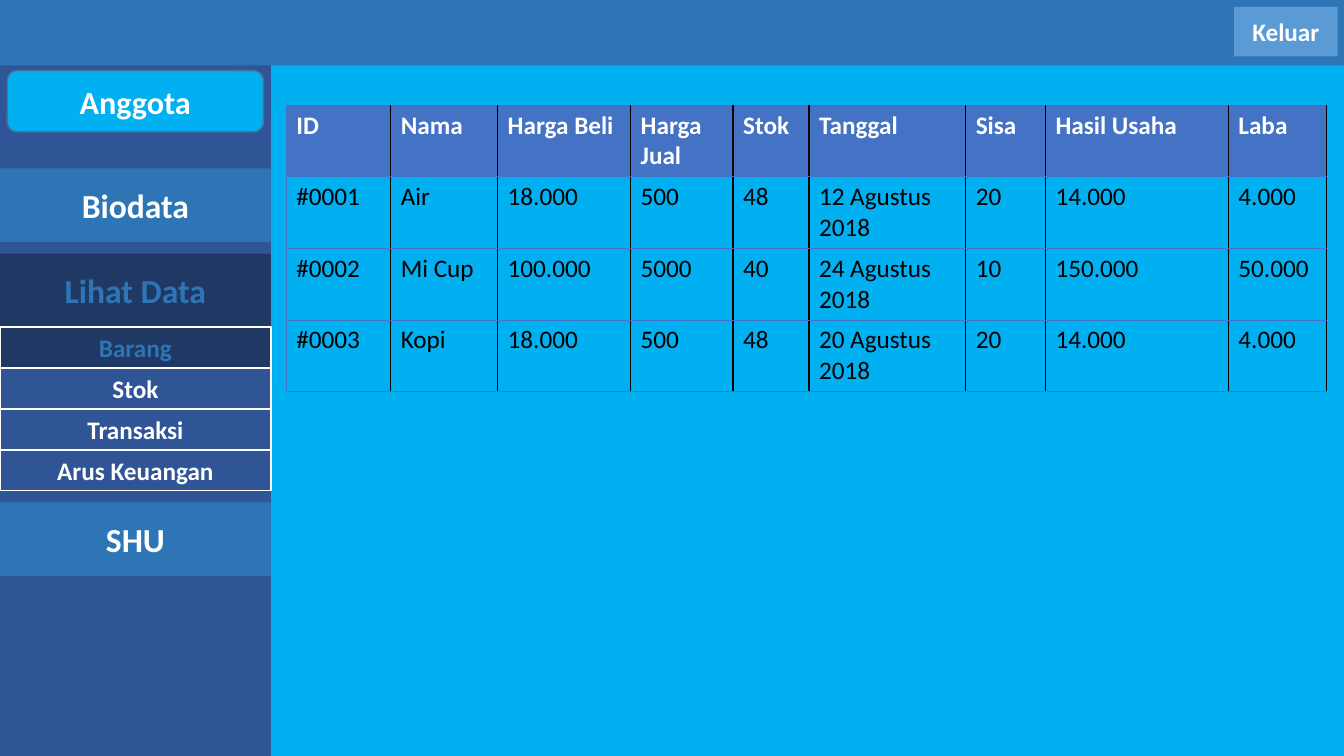
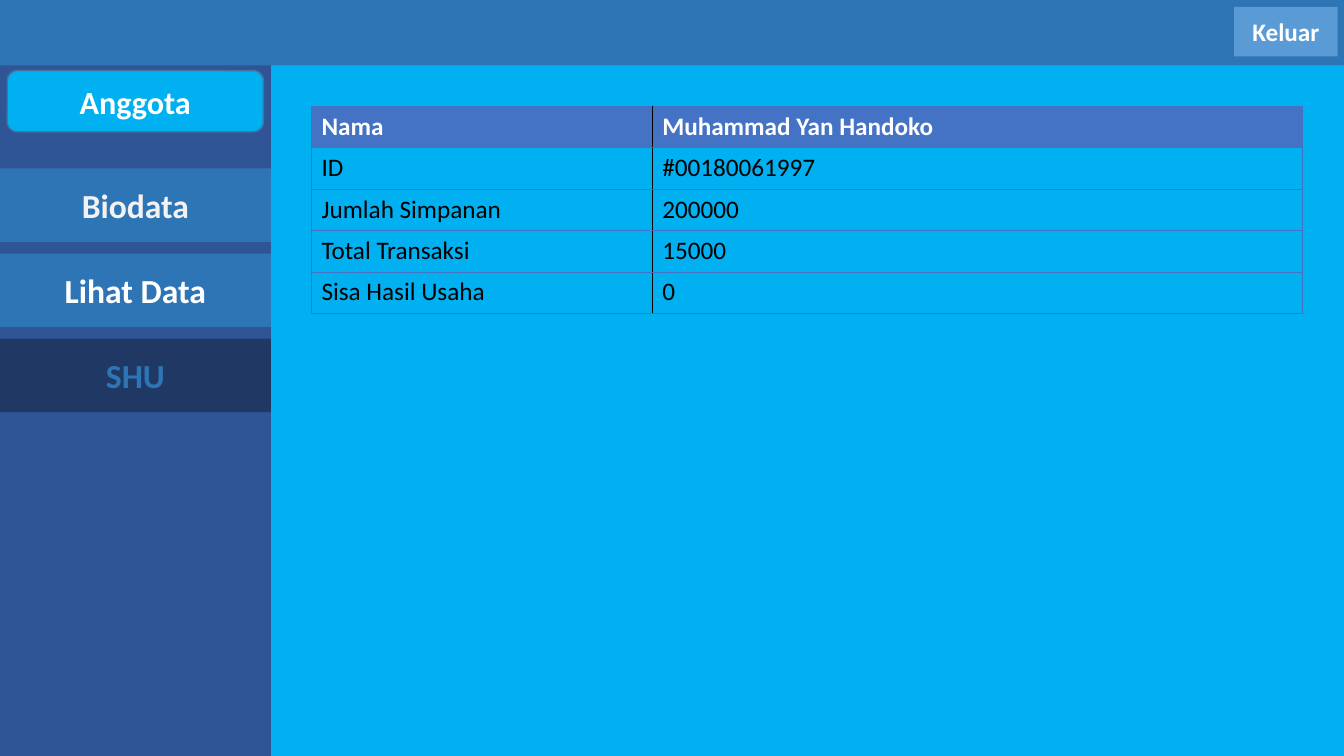
from dataclasses import dataclass
from typing import Optional

from lxml import etree
from pptx import Presentation
from pptx.dml.color import RGBColor
from pptx.enum.shapes import MSO_SHAPE
from pptx.enum.text import MSO_ANCHOR, PP_ALIGN
from pptx.oxml.ns import qn
from pptx.slide import Slide
from pptx.table import _Cell
from pptx.text.text import _Paragraph
from pptx.util import Pt

RECT = MSO_SHAPE.RECTANGLE
ROUND = MSO_SHAPE.ROUNDED_RECTANGLE
MIDDLE = MSO_ANCHOR.MIDDLE
CENTER = PP_ALIGN.CENTER

SKY = RGBColor(0x00, 0xB0, 0xF0)
NAVY = RGBColor(0x2F, 0x55, 0x97)
BLUE = RGBColor(0x2E, 0x75, 0xB6)
DARK = RGBColor(0x20, 0x38, 0x64)
PALE = RGBColor(0x5B, 0x9B, 0xD5)
EDGE = RGBColor(0x43, 0x73, 0x9E)
HEAD = RGBColor(0x44, 0x72, 0xC4)
SMOKE = RGBColor(0xF2, 0xF2, 0xF2)
WHITE = RGBColor(0xFF, 0xFF, 0xFF)
BLACK = RGBColor(0x00, 0x00, 0x00)

FONT = "Calibri"
WIDTH, HEIGHT = 960, 540
SIDE = 193.5
MENU_TOP, MENU_TALL, MENU_GAP = 120.3, 52.5, 8.3
SUB_TALL = 29.25


@dataclass
class Box:
    left: float
    top: float
    width: float
    height: float
    fill: Optional[RGBColor]
    text: str = ""
    size: float = 24
    ink: RGBColor = WHITE
    line: Optional[RGBColor] = None
    kind: MSO_SHAPE = RECT


@dataclass
class Item:
    text: str
    active: bool = False
    ink: RGBColor = WHITE
    subs: tuple["Item", ...] = ()


@dataclass
class Grid:
    left: float
    top: float
    tall: float
    cols: list[float]
    rows: list[list[str]]
    right: RGBColor


def style(para: _Paragraph, size: float, ink: RGBColor, bold: bool) -> None:
    font = para.font
    font.name = FONT
    font.size = Pt(size)
    font.bold = bold
    font.color.rgb = ink


def draw_box(slide: Slide, box: Box) -> None:
    shape = slide.shapes.add_shape(
        box.kind, Pt(box.left), Pt(box.top), Pt(box.width), Pt(box.height)
    )
    shape.shadow.inherit = False
    if box.fill is None:
        shape.fill.background()
    else:
        shape.fill.solid()
        shape.fill.fore_color.rgb = box.fill
    if box.line is None:
        shape.line.fill.background()
    else:
        shape.line.color.rgb = box.line
        shape.line.width = Pt(1)
    if box.text:
        frame = shape.text_frame
        frame.word_wrap = True
        frame.vertical_anchor = MIDDLE
        para = frame.paragraphs[0]
        para.text = box.text
        para.alignment = CENTER
        style(para, box.size, box.ink, True)


def draw_menu(slide: Slide, items: list[Item]) -> None:
    top = MENU_TOP
    for item in items:
        fill, ink = (DARK, BLUE) if item.active else (BLUE, item.ink)
        draw_box(slide, Box(0, top, SIDE, MENU_TALL, fill, item.text, ink=ink))
        top += MENU_TALL
        for sub in item.subs:
            fill, ink = (DARK, BLUE) if sub.active else (None, sub.ink)
            draw_box(slide, Box(0, top, SIDE, SUB_TALL, fill, sub.text, 18, ink, WHITE))
            top += SUB_TALL
        top += MENU_GAP


def add_edge(cell: _Cell, side: str, color: RGBColor, width: float) -> None:
    line = etree.SubElement(cell._tc.get_or_add_tcPr(), qn(f"a:{side}"), w=str(Pt(width)))
    fill = etree.SubElement(line, qn("a:solidFill"))
    etree.SubElement(fill, qn("a:srgbClr"), val=str(color))


def draw_grid(slide: Slide, grid: Grid) -> None:
    count, last = len(grid.rows), len(grid.cols) - 1
    table = slide.shapes.add_table(
        count, last + 1, Pt(grid.left), Pt(grid.top),
        Pt(sum(grid.cols)), Pt(grid.tall * count),
    ).table
    table.horz_banding = False
    for col, width in zip(table.columns, grid.cols):
        col.width = Pt(width)
    for r, row in enumerate(grid.rows):
        table.rows[r].height = Pt(grid.tall)
        for c, text in enumerate(row):
            cell = table.cell(r, c)
            para = cell.text_frame.paragraphs[0]
            para.text = text
            style(para, 18, BLACK if r else WHITE, r == 0)
            left = HEAD if c == 0 else BLACK
            right = grid.right if c == last else BLACK
            for side, color in (("lnL", left), ("lnR", right), ("lnT", HEAD), ("lnB", HEAD)):
                add_edge(cell, side, color, 0.5 if color == HEAD else 1)
            if r:
                cell.fill.background()
            else:
                cell.fill.solid()
                cell.fill.fore_color.rgb = HEAD


FRAME = [
    Box(0, 0, SIDE, HEIGHT, NAVY),
    Box(0, 0, WIDTH, 46.8, BLUE),
    Box(881.5, 5, 74, 35.3, PALE, "Keluar", 18),
    Box(5.2, 50.4, 183, 43.8, SKY, "Anggota", 23, line=EDGE, kind=ROUND),
]

GOODS = Grid(
    204.5, 75, 51,
    [74.6, 76.4, 95, 73.2, 54.2, 112, 57, 130.6, 70],
    [
        ["ID", "Nama", "Harga Beli", "Harga Jual", "Stok", "Tanggal", "Sisa",
         "Hasil Usaha", "Laba"],
        ["#0001", "Air", "18.000", "500", "48", "12 Agustus 2018", "20", "14.000", "4.000"],
        ["#0002", "Mi Cup", "100.000", "5000", "40", "24 Agustus 2018", "10", "150.000",
         "50.000"],
        ["#0003", "Kopi", "18.000", "500", "48", "20 Agustus 2018", "20", "14.000", "4.000"],
    ],
    BLACK,
)

SHARE = Grid(
    222.5, 75.8, 29.6,
    [243.4, 464.4],
    [
        ["Nama", "Muhammad Yan Handoko"],
        ["ID", "#00180061997"],
        ["Jumlah Simpanan", "200000"],
        ["Total Transaksi", "15000"],
        ["Sisa Hasil Usaha", "0"],
    ],
    HEAD,
)

SUBS = (Item("Barang", True), Item("Stok"), Item("Transaksi"), Item("Arus Keuangan"))

PAGES = [
    ([Item("Biodata"), Item("Lihat Data", True, subs=SUBS), Item("SHU")], GOODS),
    ([Item("Biodata", ink=SMOKE), Item("Lihat Data"), Item("SHU", True)], SHARE),
]

deck = Presentation()
deck.slide_width = Pt(WIDTH)
deck.slide_height = Pt(HEIGHT)
for menu, grid in PAGES:
    slide = deck.slides.add_slide(deck.slide_layouts[6])
    back = slide.background.fill
    back.solid()
    back.fore_color.rgb = SKY
    for box in FRAME:
        draw_box(slide, box)
    draw_menu(slide, menu)
    draw_grid(slide, grid)
deck.save("out.pptx")
